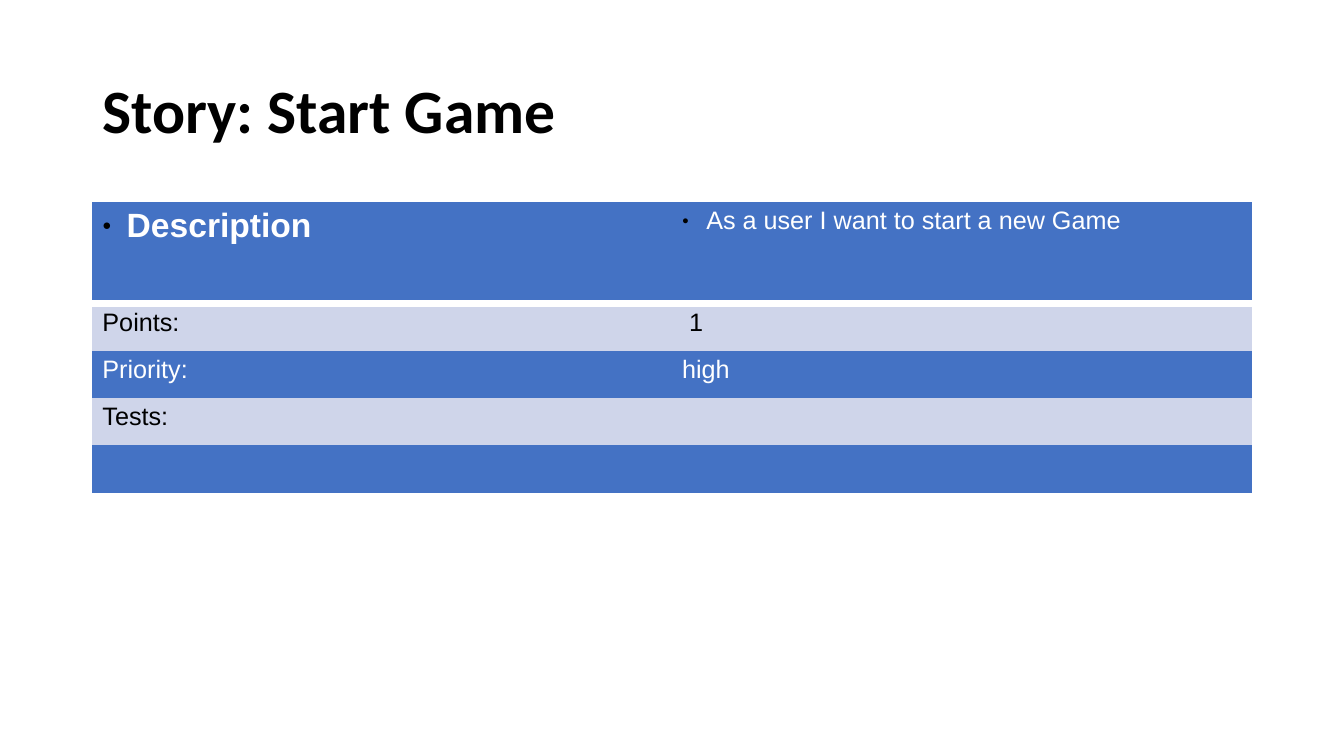
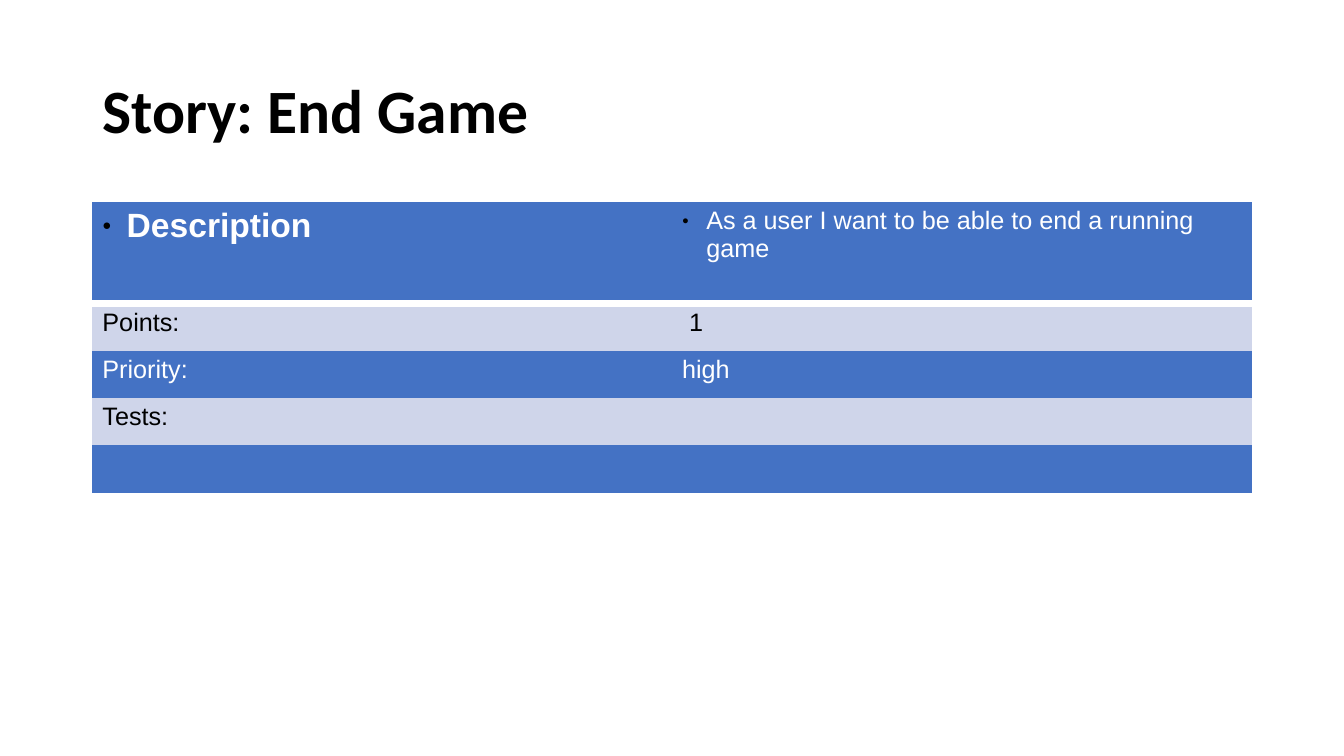
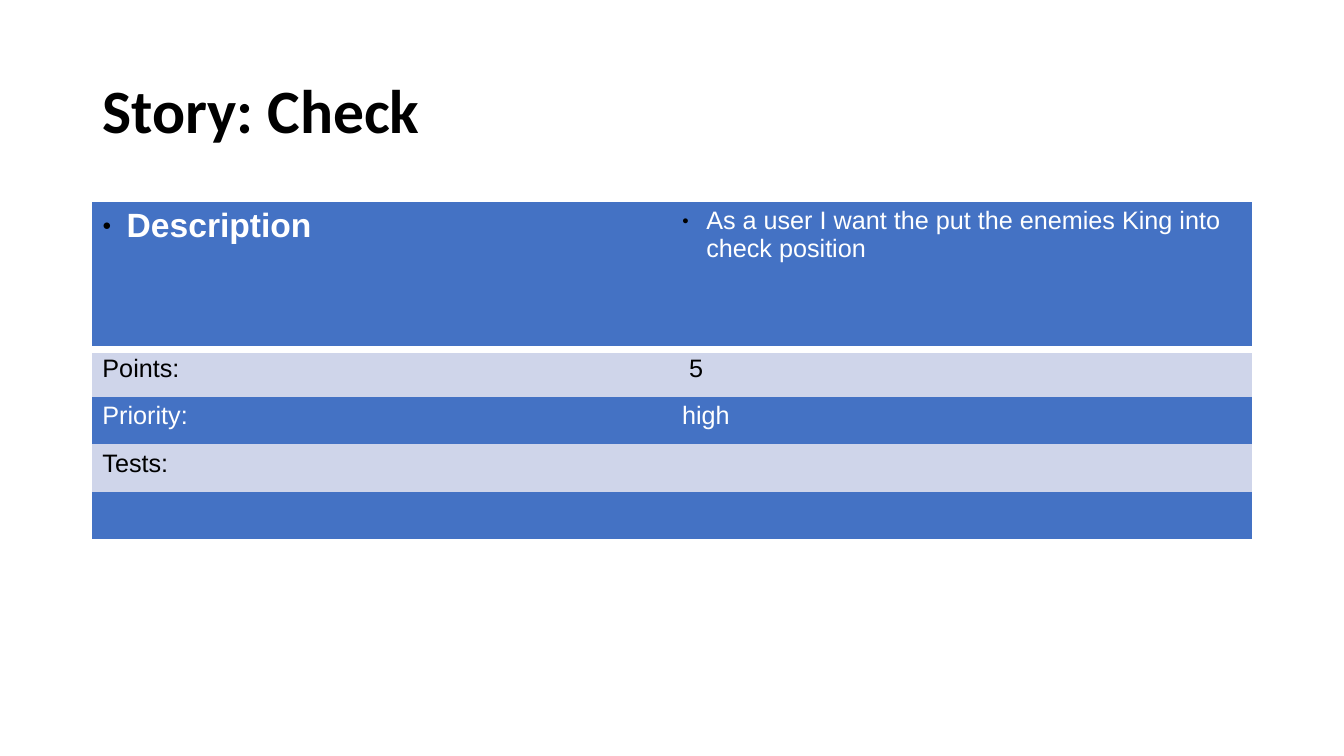
from dataclasses import dataclass

import lxml.etree
import pptx
import pptx.dml.color
import pptx.enum.text
import pptx.oxml.ns
import pptx.util

Pt = pptx.util.Pt
qn = pptx.oxml.ns.qn


@dataclass(frozen=True)
class Theme:
    blue: str = "4472C4"
    pale: str = "CFD5EA"
    white: str = "FFFFFF"
    black: str = "000000"
    title_font: str = "Calibri"
    body_font: str = "Arial"
    title_size: int = 44
    heading_size: int = 24
    body_size: int = 18


theme = Theme()
LEFT, WIDTH = 66, 828
TABLE_TOP, ROW_HEIGHT = 144, 33.84
BULLET_INDENT = 17.28
RULE_WIDTH = 6
PLAIN_TABLE_STYLE = "{2D5ABB26-0587-4C30-8999-92F81FD0307C}"


def add_run(paragraph, text, font_name, size, color, bold):
    run = paragraph.add_run()
    run.text = text
    run.font.name = font_name
    run.font.size = Pt(size)
    run.font.bold = bold
    run.font.color.rgb = pptx.dml.color.RGBColor.from_string(color)


def add_bullet(paragraph):
    properties = paragraph._p.get_or_add_pPr()
    properties.set("marL", str(Pt(BULLET_INDENT)))
    properties.set("indent", str(-Pt(BULLET_INDENT)))
    bullet_color = lxml.etree.SubElement(properties, qn("a:buClr"))
    lxml.etree.SubElement(bullet_color, qn("a:srgbClr"), val=theme.black)
    lxml.etree.SubElement(properties, qn("a:buSzPct"), val="45000")
    lxml.etree.SubElement(properties, qn("a:buFont"), typeface=theme.body_font)
    lxml.etree.SubElement(properties, qn("a:buChar"), char="●")


stories = [
    ("Start Game", "As a user I want to start a new Game", 1, 72.72),
    ("End Game", "As a user I want to be able to end a running game", 1, 72.72),
    ("Check", "As a user I want the put the enemies King into check position", 5, 105.84),
]

presentation = pptx.Presentation()
presentation.slide_width = Pt(960)
presentation.slide_height = Pt(540)

for name, description, points, description_height in stories:
    slide = presentation.slides.add_slide(presentation.slide_layouts[5])
    title = slide.shapes.title
    title.left, title.top = Pt(LEFT), Pt(28.8)
    title.width, title.height = Pt(WIDTH), Pt(104.4)
    title.text_frame.auto_size = pptx.enum.text.MSO_AUTO_SIZE.NONE
    title.text_frame.vertical_anchor = pptx.enum.text.MSO_ANCHOR.MIDDLE
    paragraph = title.text_frame.paragraphs[0]
    paragraph.alignment = pptx.enum.text.PP_ALIGN.LEFT
    paragraph.line_spacing = 0.9
    add_run(paragraph, f"Story: {name}", theme.title_font, theme.title_size, theme.black, True)

    rows = [
        ("Description", description),
        ("Points:", f" {points}"),
        ("Priority:", "high"),
        ("Tests:", ""),
        ("", ""),
    ]
    heights = [description_height] + [ROW_HEIGHT] * (len(rows) - 1)
    table = slide.shapes.add_table(
        len(rows), 2, Pt(LEFT), Pt(TABLE_TOP), Pt(WIDTH), Pt(sum(heights))
    ).table
    table.first_row = False
    table.horz_banding = False
    table._tbl.tblPr.find(qn("a:tableStyleId")).text = PLAIN_TABLE_STYLE

    for row_index, texts in enumerate(rows):
        table.rows[row_index].height = Pt(heights[row_index])
        is_blue = row_index % 2 == 0
        fill_color = theme.blue if is_blue else theme.pale
        text_color = theme.white if is_blue else theme.black
        for column_index, text in enumerate(texts):
            cell = table.cell(row_index, column_index)
            cell.fill.solid()
            cell.fill.fore_color.rgb = pptx.dml.color.RGBColor.from_string(fill_color)
            paragraph = cell.text_frame.paragraphs[0]
            is_heading = row_index == 0 and column_index == 0
            if row_index == 0:
                add_bullet(paragraph)
                rule = lxml.etree.Element(qn("a:lnB"), w=str(Pt(RULE_WIDTH)))
                rule_fill = lxml.etree.SubElement(rule, qn("a:solidFill"))
                lxml.etree.SubElement(rule_fill, qn("a:srgbClr"), val=theme.white)
                cell._tc.get_or_add_tcPr().insert(0, rule)
            if text:
                size = theme.heading_size if is_heading else theme.body_size
                add_run(paragraph, text, theme.body_font, size, text_color, is_heading)
            else:
                paragraph.font.size = Pt(theme.body_size)

presentation.save("out.pptx")
